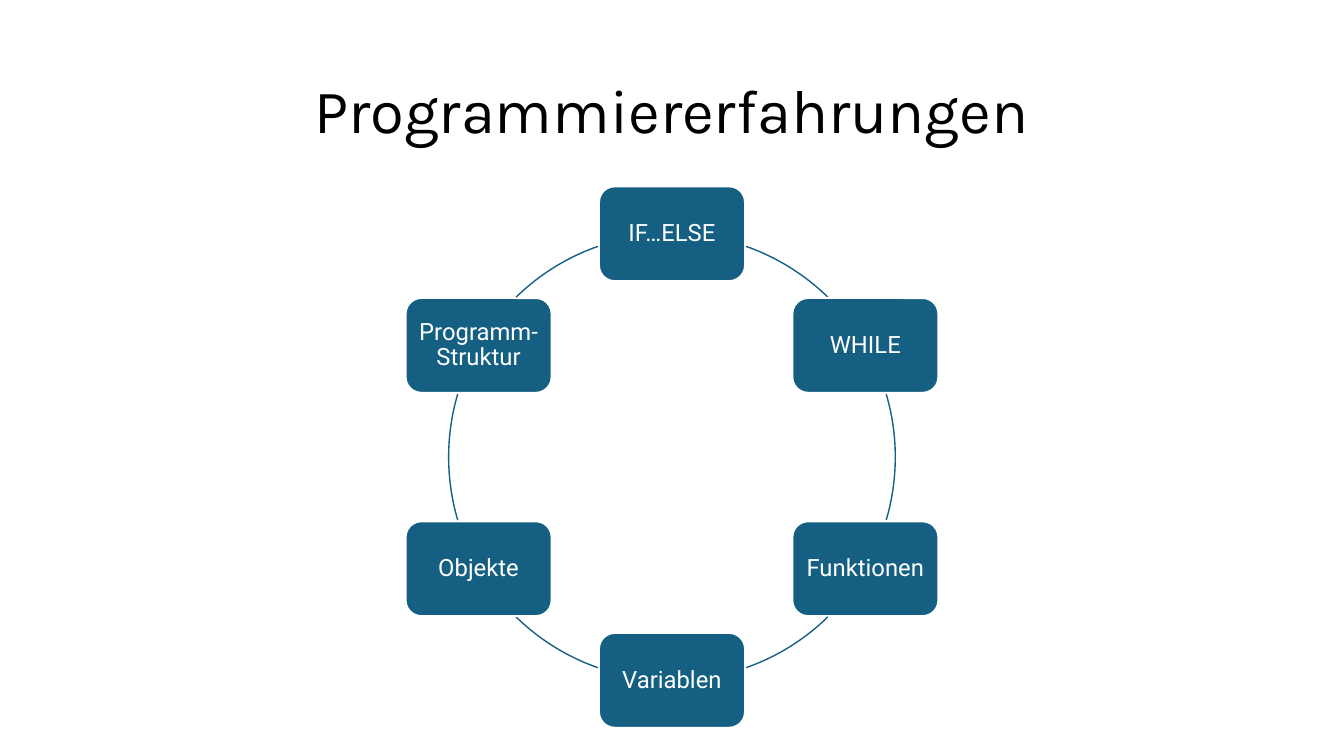
from math import cos, radians, sin

from pptx import Presentation
from pptx.dml.color import RGBColor
from pptx.enum.shapes import MSO_SHAPE
from pptx.enum.text import MSO_ANCHOR, PP_ALIGN
from pptx.util import Pt

ROUNDED_RECTANGLE = MSO_SHAPE.ROUNDED_RECTANGLE
ARC = MSO_SHAPE.ARC
MIDDLE = MSO_ANCHOR.MIDDLE
CENTER = PP_ALIGN.CENTER

BLACK = RGBColor(0x00, 0x00, 0x00)
WHITE = RGBColor(0xFF, 0xFF, 0xFF)
TEAL = RGBColor(0x15, 0x60, 0x82)

TITLE_FONT = "Karla"
CARD_FONT = "Roboto"
CARD_WIDTH, CARD_HEIGHT = 104.4, 67.8
CARD_INSET = 5

# Topic, then start and end angle of the arc that follows it, clockwise from the right
TOPICS = [
    ("IF…ELSE", 289.4, 314.3),
    ("WHILE", 343.6, 16.4),
    ("Funktionen", 45.7, 70.6),
    ("Variablen", 109.4, 134.3),
    ("Objekte", 163.6, 196.4),
    ("Programm-Struktur", 225.7, 250.6),
]


def format_text(frame, text, font_name, size, color):
    frame.text = text
    frame.word_wrap = True
    frame.vertical_anchor = MIDDLE
    paragraph = frame.paragraphs[0]
    paragraph.alignment = CENTER
    paragraph.line_spacing = 0.9
    paragraph.font.name = font_name
    paragraph.font.size = Pt(size)
    paragraph.font.color.rgb = color


def add_title(slide, left, top, width, height):
    title = slide.shapes.title
    title.left, title.top = Pt(left), Pt(top)
    title.width, title.height = Pt(width), Pt(height)
    format_text(title.text_frame, "Programmiererfahrungen", TITLE_FONT, 44, BLACK)


def add_card(slide, center_x, center_y, text):
    card = slide.shapes.add_shape(
        ROUNDED_RECTANGLE,
        Pt(center_x - CARD_WIDTH / 2), Pt(center_y - CARD_HEIGHT / 2),
        Pt(CARD_WIDTH), Pt(CARD_HEIGHT))
    card.shadow.inherit = False
    card.fill.solid()
    card.fill.fore_color.rgb = TEAL
    card.line.color.rgb = WHITE
    card.line.width = Pt(1.5)
    frame = card.text_frame
    frame.margin_left = frame.margin_right = Pt(CARD_INSET)
    frame.margin_top = frame.margin_bottom = Pt(CARD_INSET)
    format_text(frame, text, CARD_FONT, 17, WHITE)


def add_arc(slide, left, top, diameter, start, end):
    arc = slide.shapes.add_shape(ARC, Pt(left), Pt(top), Pt(diameter), Pt(diameter))
    arc.shadow.inherit = False
    arc.fill.background()
    arc.line.color.rgb = TEAL
    arc.line.width = Pt(1)
    # One degree is 60000 units, and adjustments count in 100000 units
    arc.adjustments[0] = start * 0.6
    arc.adjustments[1] = end * 0.6


def add_topic_cycle(slide, left, top, diameter):
    """Place the topics evenly on a circle, clockwise from its top."""
    radius = diameter / 2
    for index, (topic, start, end) in enumerate(TOPICS):
        angle = radians(360 * index / len(TOPICS) - 90)
        add_card(slide, left + radius * (1 + cos(angle)),
                 top + radius * (1 + sin(angle)), topic)
        add_arc(slide, left, top, diameter, start, end)


def main():
    presentation = Presentation()
    presentation.slide_width, presentation.slide_height = Pt(960), Pt(540)
    slide = presentation.slides.add_slide(presentation.slide_layouts[5])
    add_title(slide, 66, 28.75, 828, 104.4)
    add_topic_cycle(slide, 320.5, 167, 319)
    presentation.save("out.pptx")


if __name__ == "__main__":
    main()
